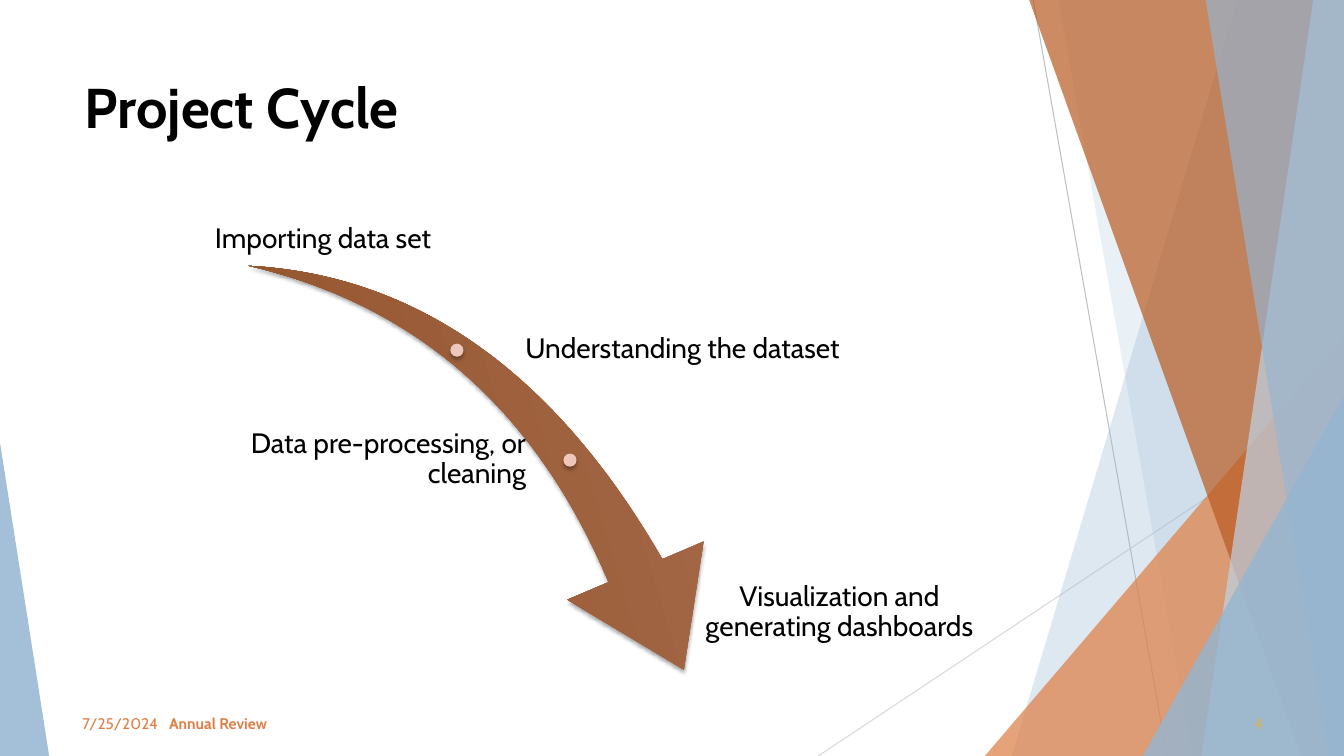
from lxml import etree
from pptx import Presentation, util as u
from pptx.dml.color import RGBColor
from pptx.enum import shapes, text
from pptx.oxml import parse_xml
from pptx.oxml.ns import qn

Cm, Pt = u.Cm, u.Pt
KIND, AL, ANC = shapes.MSO_SHAPE, text.PP_ALIGN, text.MSO_ANCHOR
WIDE, HIGH, TOP = 33.87, 19.05, -0.02
SKY, RUST = "94B6D2", "DD8047"
SHADE = (
    '<a:effectLst xmlns:a="http://schemas.openxmlformats.org/drawingml/2006/main">'
    '<a:outerShdw blurRad="38100" dist="25400" dir="5400000" rotWithShape="0">'
    '<a:srgbClr val="000000"><a:alpha val="35000"/></a:srgbClr>'
    '</a:outerShdw></a:effectLst>'
)


def tone(color, code):
    color.rgb = RGBColor.from_string(code)


def write(box, words, size=20, color="000000", bold=False, align=AL.LEFT,
          anchor=ANC.MIDDLE, inset=None, lead=None):
    """Fill a box with one formatted paragraph; inset is in cm."""
    frame = box.text_frame
    frame.word_wrap = True
    frame.auto_size = text.MSO_AUTO_SIZE.NONE
    frame.vertical_anchor = anchor
    if inset is not None:
        frame.margin_left = frame.margin_right = Cm(inset)
        frame.margin_top = frame.margin_bottom = Cm(inset)
    para = frame.paragraphs[0]
    para.alignment, para.line_spacing = align, lead
    run = para.add_run()
    run.text = words
    run.font.name, run.font.size, run.font.bold = "Cabin", Pt(size), bold
    tone(run.font.color, color)


deck = Presentation()
deck.slide_width, deck.slide_height = Cm(WIDE), Cm(HIGH)
slide = deck.slides.add_slide(deck.slide_layouts[5])
items = slide.shapes

# Thin lines behind the facets
for x1, y1, x2, y2, color in [
    (26.04, 0, 29.41, HIGH, "BFBFBF"),
    (WIDE, 10.24, 20.62, HIGH, "D9D9D9"),
]:
    line = items.add_connector(shapes.MSO_CONNECTOR.STRAIGHT,
                               Cm(x1), Cm(y1), Cm(x2), Cm(y2))
    line.line.width = Pt(0.75)
    tone(line.line.color, color)
    etree.SubElement(line.element.spPr, qn("a:effectLst"))

# Facets: (top x, bottom x) runs to the right edge;
# (left, top, width, apex) is a triangle standing on the bottom edge
for spot, color, alpha in [
    ((31.19, 25.5), SKY, 30),
    ((26.67, 30.05), SKY, 20),
    ((24.82, 8.46, 9.05, 1), RUST, 72),
    ((25.93, 32.79), "B95B22", 70),
    ((33.1, 30.28), "BFD3E4", 70),
    ((30.38, 33.48), SKY, 65),
    ((28.8, 9.98, 5.07, 1), SKY, 80),
    ((0, 11.15, 1.24, 0), SKY, 85),
]:
    if len(spot) == 2:
        high, low = spot
        form = items.build_freeform(Cm(high), Cm(TOP))
        form.add_line_segments([(Cm(WIDE), Cm(TOP)), (Cm(WIDE), Cm(HIGH)),
                                (Cm(low), Cm(HIGH))])
        facet = form.convert_to_shape()
    else:
        left, top, width, apex = spot
        facet = items.add_shape(KIND.ISOSCELES_TRIANGLE, Cm(left), Cm(top),
                                Cm(width), Cm(HIGH - top))
        facet.adjustments[0] = apex
    facet.shadow.inherit = False
    facet.line.fill.background()
    facet.fill.solid()
    tone(facet.fill.fore_color, color)
    tint = facet.element.spPr.find(qn("a:solidFill")).find(qn("a:srgbClr"))
    etree.SubElement(tint, qn("a:alpha")).set("val", str(alpha * 1000))

# Title
title = items.title
title.left, title.top = Cm(1.88), Cm(1.7)
title.width, title.height = Cm(23.88), Cm(3.66)
write(title, "Project Cycle", size=40, bold=True, anchor=ANC.TOP)

# Footer
for words, left, width, color, bold, align in [
    ("7/25/2024", 1.83, 7.62, RUST, False, AL.LEFT),
    ("Annual Review", 4.01, 11.43, RUST, True, AL.LEFT),
    ("4", 24.46, 7.62, "D8B25C", False, AL.RIGHT),
]:
    box = items.add_textbox(Cm(left), Cm(17.73), Cm(width), Cm(1.02))
    write(box, words, size=11, color=color, bold=bold, align=align)

# Arrow and its two dots
arrow = items.add_shape(KIND.SWOOSH_ARROW, Cm(5.97), Cm(7.09), Cm(12.9), Cm(8.99))
arrow.rotation = 73.3
arrow.adjustments[0], arrow.adjustments[1] = 0.163, 0.314
arrow.fill.gradient()
arrow.fill.gradient_angle = 270
for stop, place, color in zip(arrow.fill.gradient_stops, (0, 0.78),
                              ("A86C4E", "965730")):
    stop.position = place
    tone(stop.color, color)

cycle = [arrow]
for left, top in [(11.35, 8.66), (14.2, 11.43)]:
    dot = items.add_shape(KIND.OVAL, Cm(left), Cm(top), Cm(0.33), Cm(0.33))
    dot.fill.solid()
    tone(dot.fill.fore_color, "EDC7B9")
    cycle.append(dot)
for part in cycle:
    part.line.fill.background()
    part.element.spPr.append(parse_xml(SHADE))

# Step labels
for words, left, top, width, align, anchor in [
    ("Importing data set", 5.11, 4.11, 6.07, AL.CENTER, ANC.BOTTOM),
    ("Understanding the dataset", 13.16, 7.62, 8.38, AL.LEFT, ANC.MIDDLE),
    ("Data pre-processing, or cleaning", 5.11, 10.39, 8.23, AL.RIGHT, ANC.MIDDLE),
    ("Visualization and generating dashboards", 17.04, 14.6, 8.23, AL.CENTER,
     ANC.TOP),
]:
    box = items.add_textbox(Cm(left), Cm(top), Cm(width), Cm(2.39))
    write(box, words, align=align, anchor=anchor, inset=0.08, lead=0.9)

deck.save("out.pptx")
